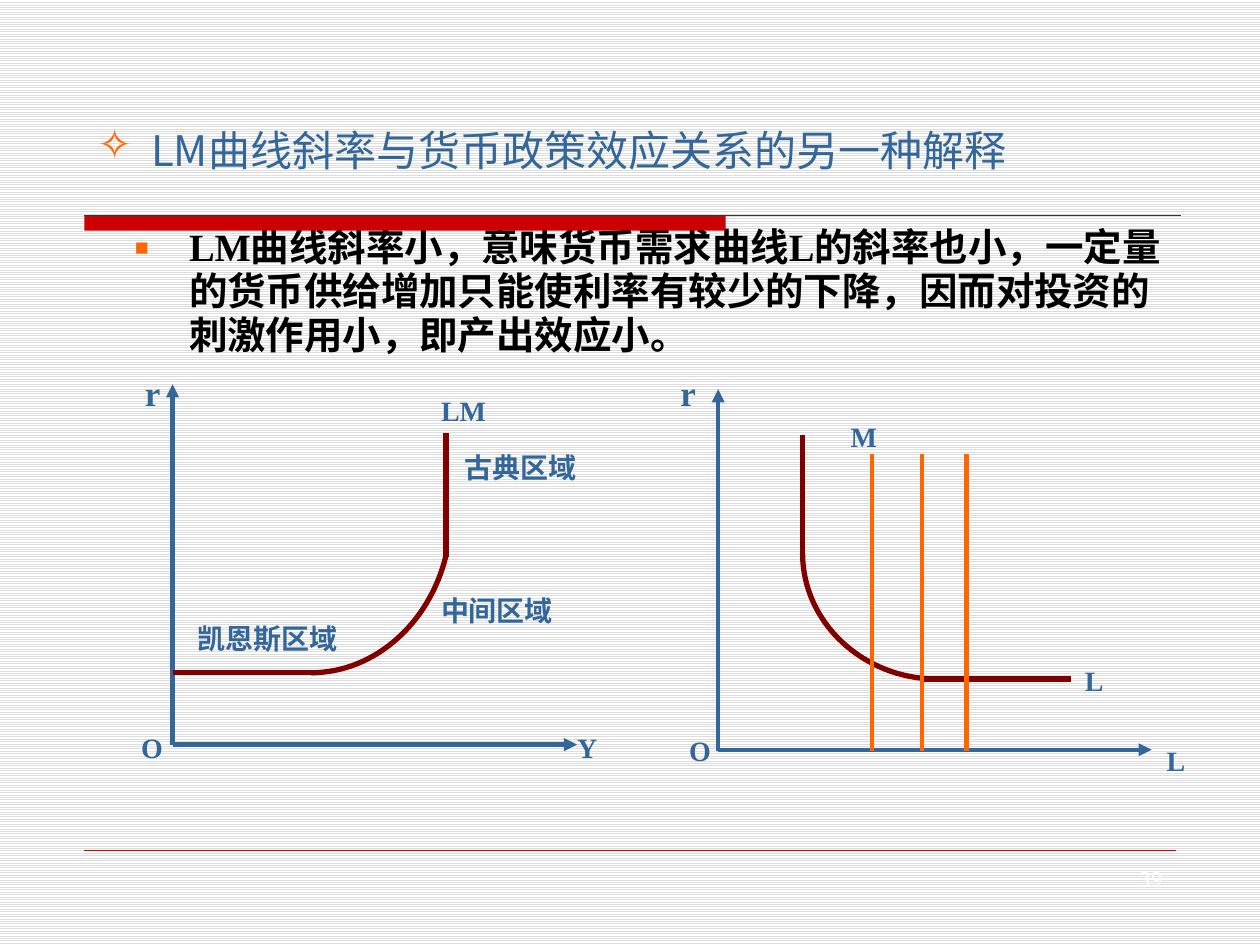
from lxml.etree import SubElement
from pptx import Presentation
from pptx.dml.color import RGBColor
from pptx.enum.dml import MSO_PATTERN
from pptx.enum.shapes import MSO_CONNECTOR, MSO_SHAPE
from pptx.enum.text import MSO_ANCHOR, PP_ALIGN
from pptx.oxml.ns import qn
from pptx.util import Inches, Pt

BLUE = RGBColor(0x33, 0x66, 0x99)
ORANGE = RGBColor(0xFF, 0x66, 0x00)
MAROON = RGBColor(0x80, 0x00, 0x00)
RED = RGBColor(0xCC, 0x00, 0x00)
DARK = RGBColor(0x33, 0x33, 0x33)
BLACK = RGBColor(0, 0, 0)
WHITE = RGBColor(0xFF, 0xFF, 0xFF)
STRIPE = RGBColor(0xDD, 0xDD, 0xDD)
SERIF, SANS = "Times New Roman", "Noto Sans CJK SC"

# Content
TITLE = "LM曲线斜率与货币政策效应关系的另一种解释"
BODY = ("LM曲线斜率小，意味货币需求曲线L的斜率也小，一定量的货币供给增加"
        "只能使利率有较少的下降，因而对投资的刺激作用小，即产出效应小。")
PAGE_NUMBER = "39"

# Lines: start, end; curve: four Bezier points; labels: text, box, size
LM_GRAPH = {
    "axes": [((1.37, 5.91), (4.58, 5.91)), ((1.37, 5.91), (1.37, 3.05))],
    "branches": [((1.37, 5.34), (2.47, 5.34)), ((3.54, 4.42), (3.54, 3.44))],
    "curve": [(2.47, 5.34), (2.97, 5.34), (3.41, 4.95), (3.54, 4.41)],
    "supply": [],
    "anchor": MSO_ANCHOR.TOP,
    "wrap": True,
    "labels": [
        ("r", (1.15, 2.95, 0.3, 0.37), 20),
        ("LM", (3.5, 3.12, 0.38, 0.32), 16),
        ("Y", (4.58, 5.8, 0.22, 0.32), 16),
        ("O", (1.12, 5.8, 0.22, 0.33), 16),
        ("古典区域", (3.69, 3.58, 0.91, 0.4), 16),
        ("中间区域", (3.5, 4.71, 0.91, 0.32), 16),
        ("凯恩斯区域", (1.57, 4.93, 1.16, 0.32), 16),
    ],
}
MONEY_GRAPH = {
    "axes": [((5.7, 5.95), (9.14, 5.95)), ((5.7, 5.96), (5.7, 3.09))],
    "branches": [((6.37, 3.45), (6.37, 4.41)), ((7.33, 5.39), (8.5, 5.39))],
    "curve": [(7.44, 5.39), (6.85, 5.39), (6.37, 4.94), (6.37, 4.39)],
    "supply": [((x, 5.96), (x, 3.6)) for x in (6.92, 7.32, 7.67)],
    "anchor": MSO_ANCHOR.MIDDLE,
    "wrap": False,
    "labels": [
        ("r", (5.4, 2.91, 0.22, 0.41), 20),
        ("M", (6.75, 3.33, 0.28, 0.26), 16),
        ("L", (8.61, 5.27, 0.28, 0.26), 16),
        ("L", (9.26, 5.83, 0.22, 0.41), 16),
        ("O", (5.47, 5.75, 0.22, 0.41), 16),
    ],
}


def inches(values):
    return [Inches(value) for value in values]


def add_line(shapes, start, end, color, width, arrow=False):
    line = shapes.add_connector(MSO_CONNECTOR.STRAIGHT, *inches(start + end))
    line.line.color.rgb = color
    line.line.width = Pt(width)
    if arrow:
        SubElement(line.line._get_or_add_ln(), qn("a:tailEnd"), type="triangle")
    SubElement(line._element.spPr, qn("a:effectLst"))


def add_curve(shapes, controls, steps=32):
    points = []
    for step in range(steps + 1):
        t = step / steps
        weights = ((1 - t) ** 3, 3 * t * (1 - t) ** 2, 3 * t * t * (1 - t), t ** 3)
        points.append(inches(sum(w * c[axis] for w, c in zip(weights, controls))
                             for axis in (0, 1)))
    builder = shapes.build_freeform(*points[0])
    builder.add_line_segments(points[1:], close=False)
    curve = builder.convert_to_shape()
    curve.fill.background()
    curve.line.color.rgb = MAROON
    curve.line.width = Pt(3)
    curve.shadow.inherit = False


def write(shape, text, font, size, color, bold, align, anchor, wrap=True):
    frame = shape.text_frame
    frame.word_wrap = wrap
    frame.vertical_anchor = anchor
    frame.margin_left = frame.margin_right = frame.margin_top = frame.margin_bottom = 0
    paragraph = frame.paragraphs[0]
    paragraph.text = text
    paragraph.alignment = align
    paragraph.font.name = font
    paragraph.font.size = Pt(size)
    paragraph.font.bold = bold
    paragraph.font.color.rgb = color


def fill_placeholder(shape, box, bullet, bullet_size, spacing, text, *style):
    shape.left, shape.top, shape.width, shape.height = inches(box)
    paragraph = shape.text_frame.paragraphs[0]
    properties = paragraph._p.get_or_add_pPr()
    properties.set("marL", str(Inches(0.43)))
    properties.set("indent", str(-Inches(0.43)))
    bullet_color = SubElement(properties, qn("a:buClr"))
    SubElement(bullet_color, qn("a:srgbClr"), val=str(ORANGE))
    SubElement(properties, qn("a:buSzPct"), val=str(bullet_size * 1000))
    SubElement(properties, qn("a:buChar"), char=bullet)
    paragraph.line_spacing = spacing
    paragraph.space_before = Pt(0)
    write(shape, text, *style, PP_ALIGN.LEFT, MSO_ANCHOR.TOP)


def add_graph(slide, graph):
    shapes = slide.shapes.add_group_shape().shapes
    for start, end in graph["axes"]:
        add_line(shapes, start, end, BLUE, 2.5, arrow=True)
    for start, end in graph["branches"]:
        add_line(shapes, start, end, MAROON, 3)
    add_curve(shapes, graph["curve"])
    for start, end in graph["supply"]:
        add_line(shapes, start, end, ORANGE, 2.5)
    for text, box, size in graph["labels"]:
        write(shapes.add_textbox(*inches(box)), text, SERIF, size, BLUE, True,
              PP_ALIGN.JUSTIFY, graph["anchor"], graph["wrap"])


def main():
    deck = Presentation()
    deck.slide_width, deck.slide_height = Inches(10), Inches(7.5)
    slide = deck.slides.add_slide(deck.slide_layouts[1])

    # Striped background
    background = slide.background.fill
    background.patterned()
    background.pattern = MSO_PATTERN.LIGHT_HORIZONTAL
    background.fore_color.rgb = STRIPE
    background.back_color.rgb = WHITE

    # Header bar and rules
    bar = slide.shapes.add_shape(MSO_SHAPE.RECTANGLE, *inches((0.67, 1.71, 5.09, 0.12)))
    bar.fill.solid()
    bar.fill.fore_color.rgb = RED
    bar.line.fill.background()
    bar.shadow.inherit = False
    add_line(slide.shapes, (0.67, 1.71), (9.37, 1.71), DARK, 0.75)
    add_line(slide.shapes, (0.67, 6.75), (9.33, 6.75), RED, 0.25)

    # Graphs
    add_graph(slide, MONEY_GRAPH)
    add_graph(slide, LM_GRAPH)

    # Title, explanation and page number
    fill_placeholder(slide.shapes.title, (0.77, 0.91, 8.64, 0.48), "✧", 100, 1.2,
                     TITLE, SANS, 24, BLUE, False)
    fill_placeholder(slide.placeholders[1], (1.07, 1.8, 8.34, 1.06), "■", 60, 0.95,
                     BODY, SERIF, 22, BLACK, True)
    write(slide.shapes.add_textbox(*inches((8.73, 6.88, 0.5, 0.2))), PAGE_NUMBER,
          SANS, 12, WHITE, False, PP_ALIGN.RIGHT, MSO_ANCHOR.MIDDLE)

    deck.save("out.pptx")


if __name__ == "__main__":
    main()
